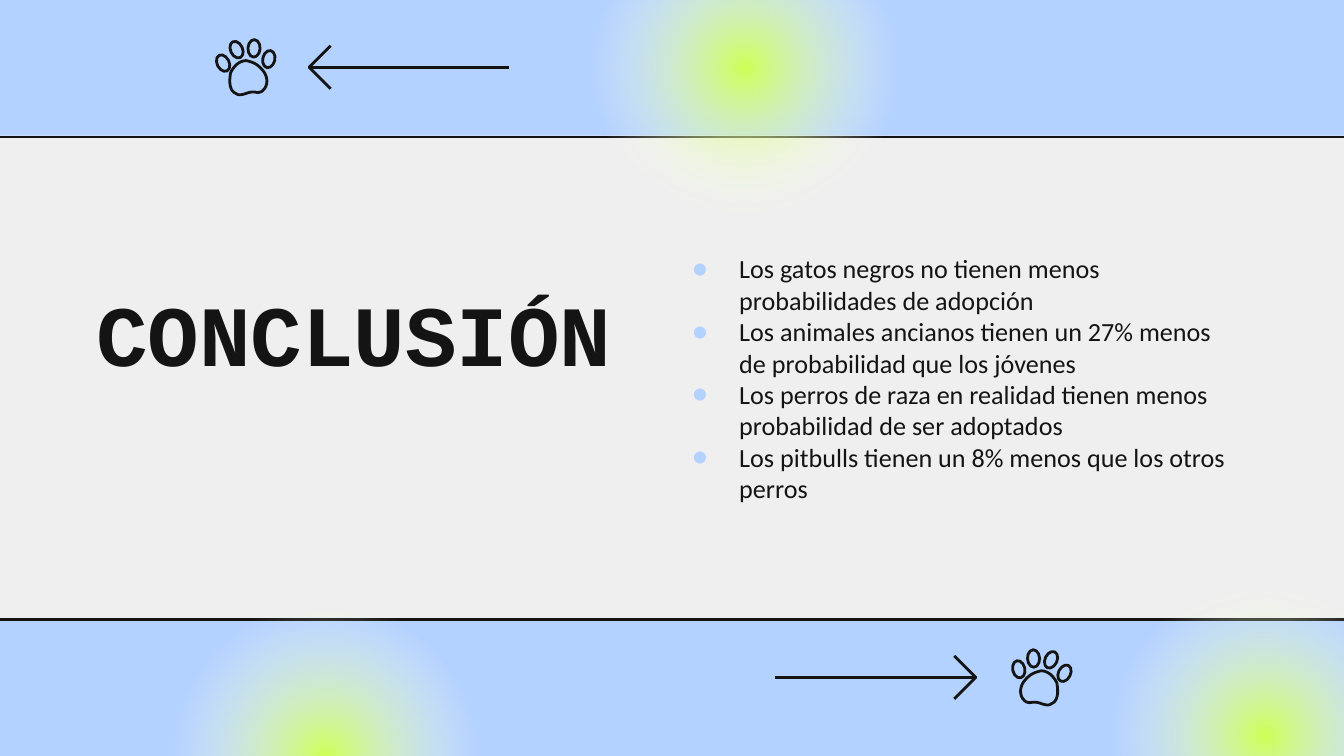
"""Build the conclusion slide about pet adoption."""
from lxml import etree
from pptx import Presentation
from pptx.dml.color import RGBColor
from pptx.enum.shapes import MSO_CONNECTOR as CONN, MSO_SHAPE as SHAPE
from pptx.enum.text import MSO_ANCHOR as ANCHOR, PP_ALIGN as ALIGN
from pptx.oxml import parse_xml
from pptx.oxml.ns import nsdecls, qn
from pptx.util import Inches, Pt

INK, BLUE, LIME, PAPER = "141414", "B4D2FF", "CDFF56", "EFEFEF"
TITLE = "CONCLUSIÓN"
POINTS = [
    "Los gatos negros no tienen menos probabilidades de adopción",
    "Los animales ancianos tienen un 27% menos de probabilidad que los jóvenes",
    "Los perros de raza en realidad tienen menos probabilidad de ser adoptados",
    "Los pitbulls tienen un 8% menos que los otros perros",
]
BANDS = [(4.62, 4.61), (0, 1.02)]
GLOWS = [(4.27, -0.77), (8.14, 4.2), (1.15, 4.36)]
GLOW_SIZE = 2.54
PAWS = [(7.74, 4.99, 1), (1.84, 0.45, -1)]
PAW_TILT = 4.9
TOES = [(0.18, 0.02, 27), (0.08, -0.08, 25), (-0.16, -0.01, -13), (-0.05, -0.09, -3)]
TOE_W, TOE_H = 0.09, 0.13
PAD = [
    [(0, 0), (-0.04, 0.01), (-0.08, 0.03), (-0.11, 0.07)],
    [(-0.11, 0.07), (-0.16, 0.13), (-0.15, 0.2), (-0.11, 0.23)],
    [(-0.11, 0.23), (-0.1, 0.24), (-0.08, 0.25), (-0.05, 0.24)],
    [(-0.05, 0.24), (0, 0.23), (0.02, 0.25), (0.06, 0.25)],
    [(0.06, 0.25), (0.07, 0.25), (0.08, 0.25), (0.09, 0.24)],
    [(0.09, 0.24), (0.14, 0.22), (0.14, 0.15), (0.12, 0.08)],
    [(0.12, 0.08), (0.09, 0.03), (0.05, 0), (0, 0)],
]
ARROWS = [(2.3, 0.5, 1), (7.26, 5.04, -1)]
ARROW_LEN, ARROW_HEAD = 1.49, 0.16


def color(value):
    return RGBColor.from_string(value)


def outline(sp):
    sp.shadow.inherit = False
    sp.fill.background()
    sp.line.color.rgb = color(INK)
    sp.line.width = Pt(1.5)


def add_band(s, top, rule_y):
    sp = s.shapes.add_shape(SHAPE.RECTANGLE, Inches(-0.01), Inches(top), Inches(10.05), Inches(1.01))
    sp.shadow.inherit = False
    sp.fill.solid()
    sp.fill.fore_color.rgb = color(BLUE)
    sp.line.fill.background()
    rule = s.shapes.add_connector(CONN.STRAIGHT, Inches(10.04), Inches(rule_y), Inches(-0.01), Inches(rule_y))
    rule.line.color.rgb = color(INK)
    rule.line.width = Pt(1.5)
    etree.SubElement(rule.element.spPr, qn("a:effectLst"))


def add_glow(s, x, y):
    size = Inches(GLOW_SIZE)
    sp = s.shapes.add_shape(SHAPE.OVAL, Inches(x), Inches(y), size, size)
    sp.shadow.inherit = False
    sp.line.fill.background()
    clear = '<a:srgbClr val="FFFFFF"><a:alpha val="0"/></a:srgbClr>'
    grad = parse_xml(
        f'<a:gradFill {nsdecls("a")} rotWithShape="1"><a:gsLst>'
        f'<a:gs pos="0"><a:srgbClr val="{LIME}"/></a:gs>'
        f'<a:gs pos="64000">{clear}</a:gs><a:gs pos="100000">{clear}</a:gs></a:gsLst>'
        '<a:path path="circle"><a:fillToRect l="50000" t="50000" r="50000" b="50000"/></a:path>'
        '</a:gradFill>')
    sp.element.spPr.find(qn("a:prstGeom")).addnext(grad)


def bezier(curve, t):
    weights = ((1 - t) ** 3, 3 * t * (1 - t) ** 2, 3 * t * t * (1 - t), t ** 3)
    return tuple(sum(w * p[axis] for w, p in zip(weights, curve)) for axis in (0, 1))


def add_paw(s, x, y, side):
    steps = 8
    pts = [bezier(curve, i / steps) for curve in PAD for i in range(steps)]
    pts = [(Inches(x + side * dx), Inches(y + dy)) for dx, dy in pts]
    fb = s.shapes.build_freeform(*pts[0])
    fb.add_line_segments(pts[1:], close=True)
    pad = fb.convert_to_shape()
    pad.rotation = side * PAW_TILT
    outline(pad)
    for dx, dy, tilt in TOES:
        toe = s.shapes.add_shape(
            SHAPE.OVAL, Inches(x + side * dx - TOE_W / 2), Inches(y + dy - TOE_H / 2),
            Inches(TOE_W), Inches(TOE_H))
        toe.rotation = side * tilt
        outline(toe)


def add_arrow(s, x, y, side):
    back = Inches(x + side * ARROW_HEAD)
    tip = Inches(x), Inches(y)
    fb = s.shapes.build_freeform(back, Inches(y - ARROW_HEAD))
    fb.add_line_segments([tip, (back, Inches(y + ARROW_HEAD))], close=False)
    fb.move_to(*tip)
    fb.add_line_segments([(Inches(x + side * ARROW_LEN), Inches(y))], close=False)
    outline(fb.convert_to_shape())


def add_text(s, box, anchor, left_inset):
    tf = s.shapes.add_textbox(*map(Inches, box)).text_frame
    tf.word_wrap = True
    tf.vertical_anchor = anchor
    tf.margin_left = Inches(left_inset)
    tf.margin_right = tf.margin_top = tf.margin_bottom = Inches(0.1)
    return tf


def add_run(p, text, font, size, bold=False):
    r = p.add_run()
    r.text = text
    r.font.name, r.font.size, r.font.bold = font, Pt(size), bold
    r.font.color.rgb = color(INK)


def add_bullet(p):
    pPr = p._p.get_or_add_pPr()
    pPr.set("marL", str(Inches(0.5)))
    pPr.set("indent", str(Inches(-0.35)))
    clr = etree.SubElement(pPr, qn("a:buClr"))
    etree.SubElement(clr, qn("a:srgbClr"), val=BLUE)
    etree.SubElement(pPr, qn("a:buFont"), typeface="Calibri")
    etree.SubElement(pPr, qn("a:buChar"), char="●")


def main():
    prs = Presentation()
    prs.slide_width, prs.slide_height = Inches(10), Inches(5.625)
    s = prs.slides.add_slide(prs.slide_layouts[6])
    s.background.fill.solid()
    s.background.fill.fore_color.rgb = color(PAPER)
    for band in BANDS:
        add_band(s, *band)
    for glow in GLOWS:
        add_glow(s, *glow)
    p = add_text(s, (0.52, 1.99, 4.22, 0.82), ANCHOR.TOP, 0.1).paragraphs[0]
    p.alignment = ALIGN.CENTER
    add_run(p, TITLE, "Courier New", 46, True)
    tf = add_text(s, (5, 1.66, 4.22, 2.31), ANCHOR.MIDDLE, 0)
    for i, text in enumerate(POINTS):
        p = tf.add_paragraph() if i else tf.paragraphs[0]
        add_bullet(p)
        add_run(p, text, "Calibri", 14)
    for paw in PAWS:
        add_paw(s, *paw)
    for arrow in ARROWS:
        add_arrow(s, *arrow)
    prs.save("out.pptx")


if __name__ == "__main__":
    main()
